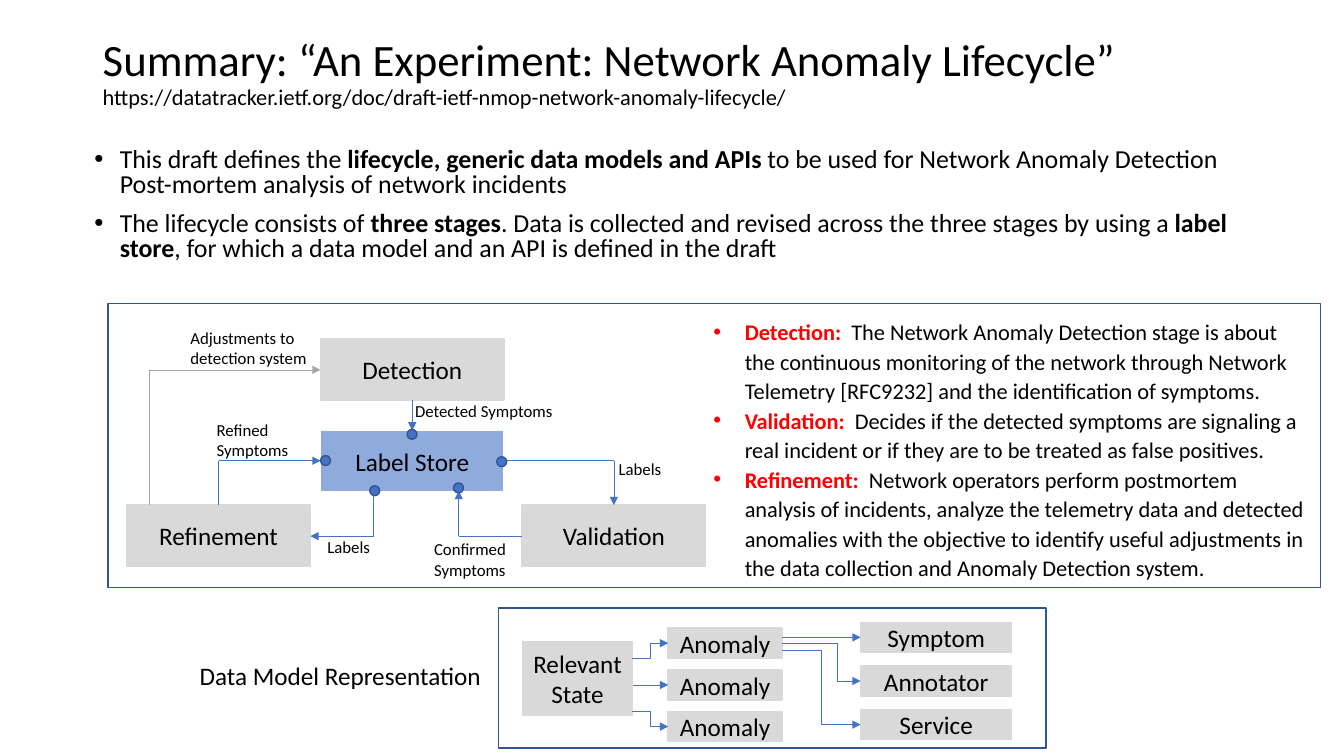
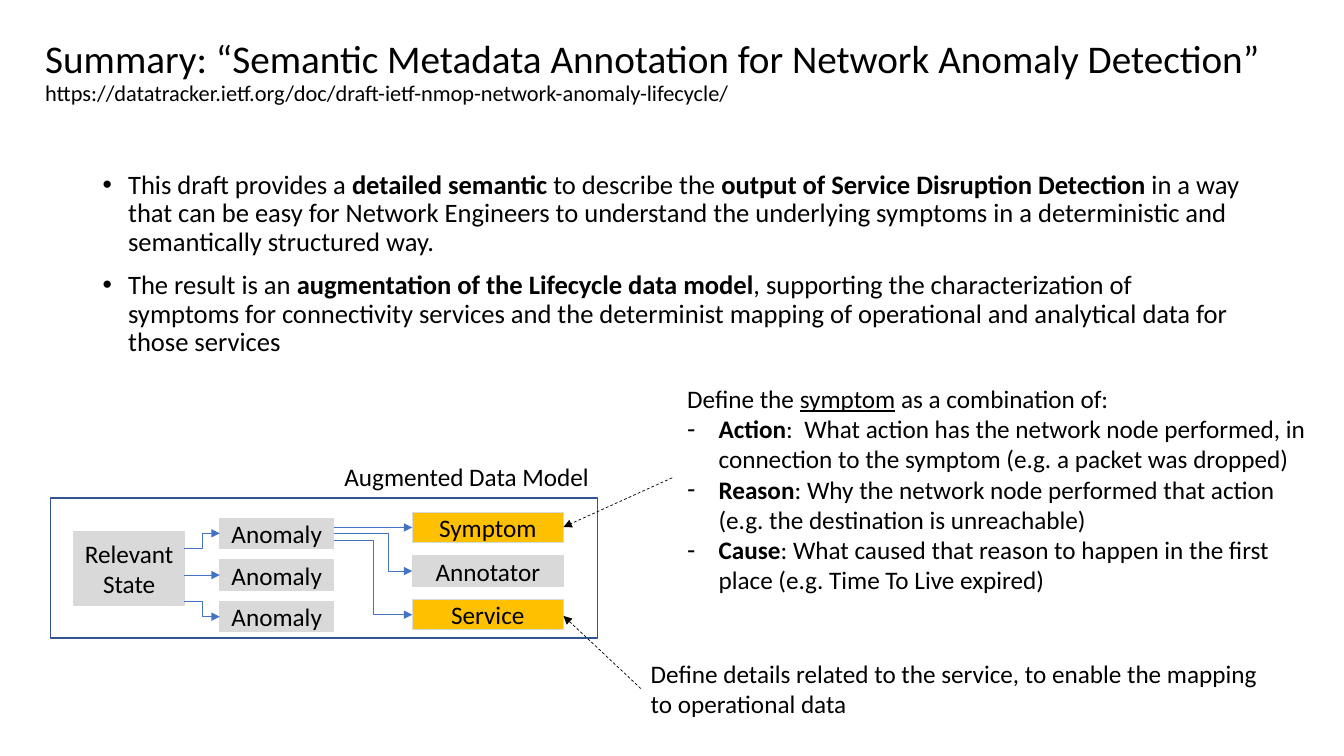
import lxml.etree
import pptx
import pptx.dml.color
import pptx.enum.dml
import pptx.enum.shapes
import pptx.enum.text
import pptx.oxml
import pptx.oxml.ns
import pptx.util

Cm = pptx.util.Cm
Pt = pptx.util.Pt
ALIGN = pptx.enum.text.PP_ALIGN
ANCHOR = pptx.enum.text.MSO_ANCHOR
SHAPE = pptx.enum.shapes.MSO_SHAPE
CONNECTOR = pptx.enum.shapes.MSO_CONNECTOR

COLORS = {
    "text": "000000", "accent": "FF0000", "box": "D9D9D9", "store": "8FAADC",
    "highlight": "FFC000", "blue": "4472C4", "frame": "325491",
    "feedback": "A6A6A6", "white": "FFFFFF",
}
BOLD = {"bold": True}
STAGE_NAME = {"bold": True, "color": "accent"}
DRAFT_URL = "https://datatracker.ietf.org/doc/draft-ietf-nmop-network-anomaly-lifecycle/"


def rgb(name):
    return pptx.dml.color.RGBColor.from_string(COLORS[name])


def add_xml(parent, tag, **attributes):
    element = lxml.etree.SubElement(parent, pptx.oxml.ns.qn(tag))
    for name, value in attributes.items():
        element.set(name, value)
    return element


class Deck:
    """Holds the shared style and the slide being drawn."""

    font_name = "Calibri"

    def __init__(self):
        self.presentation = pptx.Presentation()
        self.presentation.slide_width = Cm(33.87)
        self.presentation.slide_height = Cm(19.05)
        self.slide = None

    def new_slide(self):
        self.slide = self.presentation.slides.add_slide(self.presentation.slide_layouts[6])

    # Text
    def format_font(self, font, values):
        values = {"name": self.font_name, "color": "text", **values}
        font.color.rgb = rgb(values.pop("color"))
        for name, value in values.items():
            setattr(font, name, value)

    def add_bullet(self, paragraph, character, indent, color):
        properties = paragraph._p.get_or_add_pPr()
        properties.set("marL", str(Cm(indent)))
        properties.set("indent", str(-Cm(indent)))
        add_xml(add_xml(properties, "a:buClr"), "a:srgbClr", val=COLORS[color])
        add_xml(properties, "a:buFont", typeface="Arial")
        add_xml(properties, "a:buChar", char=character)

    def add_runs(self, paragraph, runs, size, **layout):
        """Runs are plain strings or (string, font values) pairs."""
        for name, value in layout.items():
            setattr(paragraph, name, value)
        for item in [runs] if isinstance(runs, str) else runs:
            text, values = (item, {}) if isinstance(item, str) else item
            for index, line in enumerate(text.split("\n")):
                if index:
                    paragraph.add_line_break()
                if line:
                    run = paragraph.add_run()
                    run.text = line
                    self.format_font(run.font, {"size": Pt(size), **values})

    def text(self, box, paragraphs, size=18, bullet=None, indent=0.79, bullet_color="text",
             plain_first=False, gap=0, inset=None, wrap=True, anchor=ANCHOR.TOP, **layout):
        frame = self.slide.shapes.add_textbox(*map(Cm, box)).text_frame
        frame.word_wrap = wrap
        frame.vertical_anchor = anchor
        if inset is not None:
            for side in ("left", "top", "right", "bottom"):
                setattr(frame, "margin_" + side, Cm(inset))
        for index, runs in enumerate(paragraphs):
            paragraph = frame.add_paragraph() if index else frame.paragraphs[0]
            if bullet and (index or not plain_first):
                self.add_bullet(paragraph, bullet, indent, bullet_color)
            if index and gap:
                paragraph.space_before = Pt(gap)
            self.add_runs(paragraph, runs, size, **layout)

    def title(self, box, heading, size):
        self.text(box, [[heading + "\n", (DRAFT_URL, {"size": Pt(16)})]], size,
                  anchor=ANCHOR.MIDDLE, line_spacing=0.9)

    def body(self, box, paragraphs, size, line_spacing):
        self.text(box, paragraphs, size, bullet="•", indent=0.64, gap=10,
                  line_spacing=line_spacing)

    # Shapes
    def box(self, left, top, width, height, text="", fill="box", line="box",
            kind=SHAPE.RECTANGLE):
        shape = self.slide.shapes.add_shape(kind, Cm(left), Cm(top), Cm(width), Cm(height))
        shape.shadow.inherit = False
        if fill:
            shape.fill.solid()
            shape.fill.fore_color.rgb = rgb(fill)
        else:
            shape.fill.background()
        shape.line.color.rgb = rgb(line)
        shape.line.width = Pt(1)
        if text:
            shape.text_frame.vertical_anchor = ANCHOR.MIDDLE
            self.add_runs(shape.text_frame.paragraphs[0], text, 18, alignment=ALIGN.CENTER)

    def frame(self, left, top, width, height):
        self.box(left, top, width, height, fill=None, line="frame")

    # Lines
    def line(self, start, end, color="blue", arrow=True, bend=None, dashed=False):
        kind = CONNECTOR.STRAIGHT if bend is None else CONNECTOR.ELBOW
        connector = self.slide.shapes.add_connector(kind, *map(Cm, (*start, *end)))
        connector.line.color.rgb = rgb(color)
        connector.line.width = Pt(0.5)
        if dashed:
            connector.line.dash_style = pptx.enum.dml.MSO_LINE.DASH
        if arrow:
            add_xml(connector.line._get_or_add_ln(), "a:tailEnd", type="triangle")
        properties = connector._element.spPr
        add_xml(properties, "a:effectLst")
        if bend is not None:
            guides = properties.find(pptx.oxml.ns.qn("a:prstGeom")).get_or_add_avLst()
            add_xml(guides, "a:gd", name="adj1", fmla=f"val {round(bend * 100000)}")

    def route(self, points, color="blue"):
        """Straight legs through the points, with an arrowhead on the last."""
        legs = list(zip(points, points[1:]))
        for index, (start, end) in enumerate(legs, 1):
            self.line(start, end, color, arrow=index == len(legs))

    # Data model diagram, used on both slides
    def data_model(self, left, top, highlighted=()):
        self.frame(left, top, 13.79, 3.53)
        self.box(left + 0.6, top + 0.85, 2.77, 1.85, "Relevant State")
        for row in range(3):
            anomaly_top = top + 0.51 + 1.05 * row
            self.box(left + 4.27, anomaly_top, 2.87, 0.76, "Anomaly")
            middle = anomaly_top + 0.38
            self.line((left + 3.37, middle + 0.38 * (1 - row)), (left + 4.27, middle),
                      bend=None if row == 1 else 0.5)
        details = (("Symptom", None), ("Annotator", 0.7), ("Service", 0.5))
        for row, (name, bend) in enumerate(details):
            detail_top = top + 0.36 + 1.1 * row
            self.box(left + 9.12, detail_top, 3.81, 0.76, name,
                     fill="highlight" if name in highlighted else "box")
            self.line((left + 7.14, top + 0.74 + 0.16 * row),
                      (left + 9.12, detail_top + 0.38), bend=bend)


def lifecycle_slide(deck):
    deck.new_slide()
    deck.title((2.34, 0.03, 29.21, 3.68),
               "Summary: “An Experiment: Network Anomaly Lifecycle”", 32)
    deck.body((2.13, 3.63, 29.21, 3.25), [
        ["This draft defines the ", ("lifecycle, generic data models and APIs", BOLD),
         " to be used for Network Anomaly Detection Post-mortem analysis of network incidents"],
        ["The lifecycle consists of ", ("three stages", BOLD),
         ". Data is collected and revised across the three stages by using a ",
         ("label store", BOLD),
         ", for which a data model and an API is defined in the draft"],
    ], 18.5, 0.8)

    # Stage descriptions
    deck.frame(2.72, 7.65, 30.56, 7.16)
    deck.text((17.98, 7.95, 15.04, 6.86), [
        [("Detection:  ", STAGE_NAME),
         "The Network Anomaly Detection stage is about the continuous monitoring of the network "
         "through Network Telemetry [RFC9232] and the identification of symptoms."],
        [("Validation:  ", STAGE_NAME),
         "Decides if the detected symptoms are signaling a real incident or if they are to be "
         "treated as false positives."],
        [("Refinement:  ", STAGE_NAME),
         "Network operators perform postmortem analysis of incidents, analyze the telemetry data "
         "and detected anomalies with the objective to identify useful adjustments in the data "
         "collection and Anomaly Detection system."],
    ], 16, bullet="•", bullet_color="accent", inset=0, line_spacing=1.1)

    # Lifecycle diagram
    for name, left, top, fill, line in (
            ("Detection", 8.08, 8.53, "box", "box"),
            ("Validation", 13.16, 12.73, "box", "box"),
            ("Refinement", 3.2, 12.73, "box", "box"),
            ("Label Store", 8.08, 10.85, "store", "white")):
        deck.box(left, top, 4.62, 1.55, name, fill, line)
    deck.route([(3.76, 12.73), (3.76, 9.32), (8.08, 9.32)], "feedback")
    for points in (
            [(10.39, 10.08), (10.39, 10.85)],
            [(12.7, 11.61), (15.47, 11.61), (15.47, 12.73)],
            [(13.16, 13.51), (11.56, 13.51), (11.56, 12.37)],
            [(9.42, 12.37), (9.42, 13.51), (7.82, 13.51)],
            [(5.51, 12.73), (5.51, 11.61), (8.08, 11.61)]):
        deck.route(points)
    for left, top in ((9.32, 12.24), (11.43, 12.17), (10.26, 10.82),
                      (8.08, 11.48), (12.52, 11.51)):
        deck.box(left, top, 0.25, 0.25, fill="blue", line="frame", kind=SHAPE.OVAL)
    for label, left, top, width, height in (
            ("Detected Symptoms", 10.21, 9.98, 4.22, 0.81),
            ("Adjustments to\ndetection system", 4.55, 8.13, 3.66, 1.35),
            ("Labels", 15.34, 11.43, 1.68, 0.81),
            ("Confirmed\nSymptoms", 10.69, 13.46, 2.46, 1.35),
            ("Refined\nSymptoms", 5.21, 10.44, 2.46, 1.35),
            ("Labels", 8, 13.41, 1.68, 0.81)):
        deck.text((left, top, width, height), [label], 12, wrap=False)

    deck.text((4.22, 16.51, 8.15, 1.02), ["Data Model Representation"], alignment=ALIGN.RIGHT)
    deck.data_model(12.57, 15.32)


def semantics_slide(deck):
    deck.new_slide()
    deck.title((0.89, 0, 32.11, 3.68),
               "Summary: “Semantic Metadata Annotation for Network Anomaly Detection”", 28)
    deck.body((2.34, 4.19, 29.21, 6.05), [
        ["This draft provides a ", ("detailed semantic", BOLD), " to describe the ",
         ("output of Service Disruption Detection", BOLD),
         " in a way that can be easy for Network Engineers to understand the underlying symptoms "
         "in a deterministic and semantically structured way."],
        ["The result is an ", ("augmentation of the Lifecycle data model", BOLD),
         ", supporting the characterization of symptoms for connectivity services and the "
         "determinist mapping of operational and analytical data for those services"],
    ], 19, 0.9)

    # Augmented model and its explanations
    deck.text((8.43, 11.51, 6.73, 1.02), ["Augmented Data Model"])
    deck.data_model(1.27, 12.55, ("Symptom", "Service"))
    deck.text((17.07, 9.53, 16.23, 5.64), [
        ["Define the ", ("symptom", {"underline": True}), " as a combination of:"],
        [("Action", BOLD), ":  What action has the network node performed, in connection to the "
         "symptom (e.g. a packet was dropped)"],
        [("Reason", BOLD), ": Why the network node performed that action (e.g. the destination "
         "is unreachable)"],
        [("Cause", BOLD), ": What caused that reason to happen in the first place (e.g. Time To "
         "Live expired)"],
    ], bullet="-", plain_first=True)
    deck.text((16.15, 16.46, 16.23, 1.8), [
        "Define details related to the service, to enable the mapping to operational data"])
    for start, end in (((16.94, 12.04), (14.2, 13.28)), ((16.15, 17.35), (14.2, 15.52))):
        deck.line(start, end, "text", dashed=True)


def main():
    deck = Deck()
    lifecycle_slide(deck)
    semantics_slide(deck)
    deck.presentation.save("out.pptx")


if __name__ == "__main__":
    main()
